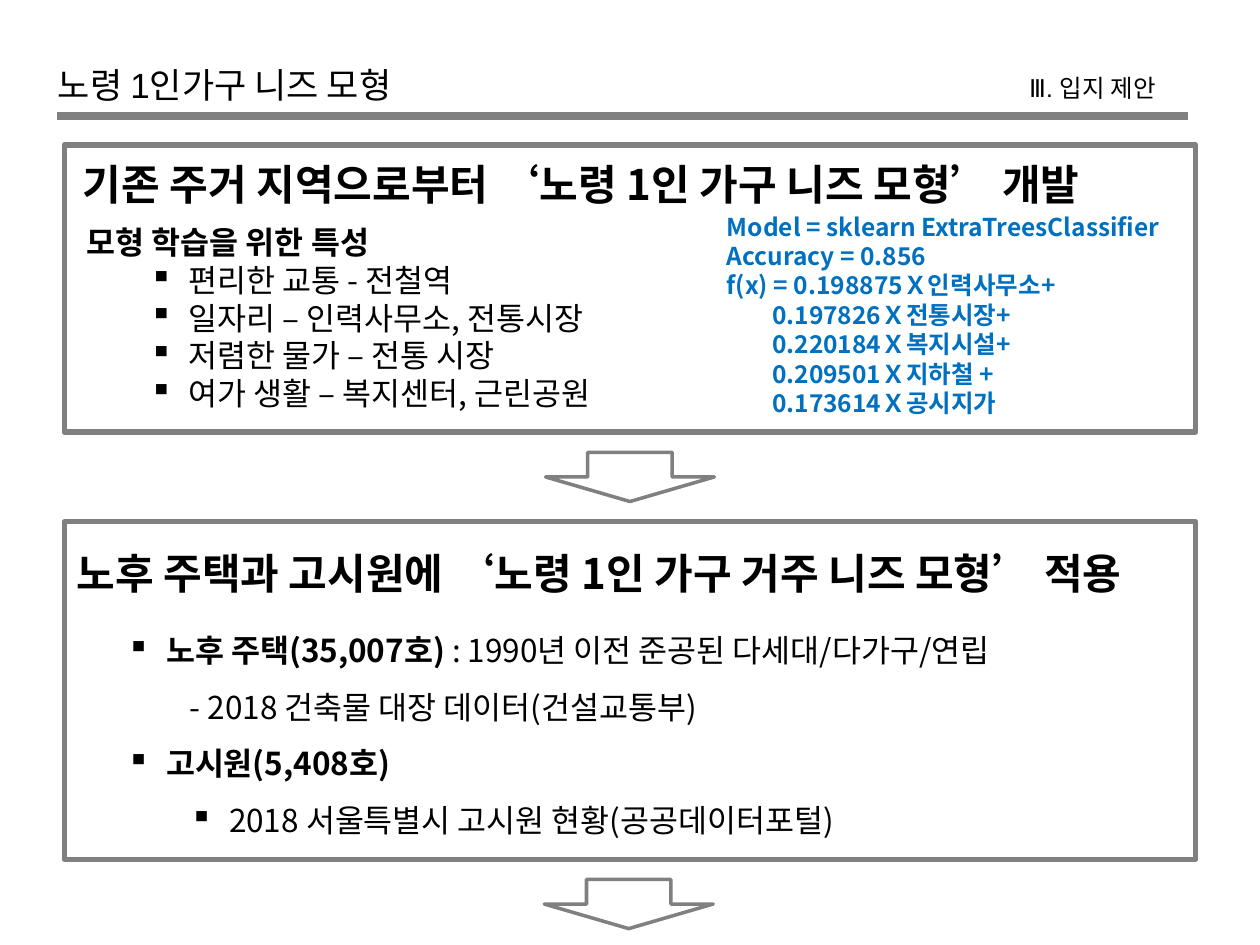
"""Builds the slide on the needs model for elderly one-person households."""
from dataclasses import dataclass

from lxml import etree
from pptx import Presentation
from pptx import util as u
from pptx.dml.color import RGBColor
from pptx.enum import shapes, text
from pptx.oxml.ns import qn

COLORS = {"ink": "000000", "rule": "808080", "paper": "FFFFFF", "formula": "0070C0"}
BODY_FONT = "Noto Sans CJK KR"
LABEL_FONT = "Arial"
CELL = u.Inches(0.1)
BULLET_HANG = 3.1


@dataclass(frozen=True)
class Area:
    """A place on the grid of 100 columns by 75 rows."""
    col: float
    row: float
    cols: float
    rows: float

    def emu(self) -> list[int]:
        return [round(n * CELL) for n in (self.col, self.row, self.cols, self.rows)]


@dataclass(frozen=True)
class Style:
    """The look shared by all the text of one block."""
    size: float
    font: str = BODY_FONT
    color: str = "ink"
    spacing: float = 1.0
    wrap: bool = False


@dataclass(frozen=True)
class Line:
    """One paragraph: a bold part, then a plain part, indented in columns."""
    bold: str = ""
    plain: str = ""
    indent: float = 0
    bullet: bool = False
    level: int = 0


def rgb(name: str) -> RGBColor:
    return RGBColor.from_string(COLORS[name])


def write_line(paragraph, line: Line, style: Style) -> None:
    paragraph.level = line.level
    props = paragraph._p.get_or_add_pPr()
    props.set("marL", str(round(line.indent * CELL)))
    props.set("indent", str(round(-BULLET_HANG * CELL) if line.bullet else 0))
    if line.bullet:
        etree.SubElement(props, qn("a:buChar"), char="▪")
    paragraph.alignment = text.PP_ALIGN.LEFT
    paragraph.line_spacing = style.spacing
    for part, bold in ((line.bold, True), (line.plain, False)):
        if part:
            run = paragraph.add_run()
            run.text = part
            run.font.size = u.Pt(style.size)
            run.font.name = style.font
            run.font.bold = bold
            run.font.color.rgb = rgb(style.color)
            latin = run.font._element.find(qn("a:latin"))
            latin.addnext(latin.makeelement(qn("a:ea"), {"typeface": BODY_FONT}))


def fill_block(block, area: Area, lines: list[Line], style: Style) -> None:
    block.left, block.top, block.width, block.height = area.emu()
    frame = block.text_frame
    frame.word_wrap = style.wrap
    frame.auto_size = text.MSO_AUTO_SIZE.SHAPE_TO_FIT_TEXT
    frame.vertical_anchor = text.MSO_ANCHOR.TOP
    for i, line in enumerate(lines):
        write_line(frame.add_paragraph() if i else frame.paragraphs[0], line, style)


def add_block(slide, area: Area, lines: list[Line], style: Style) -> None:
    fill_block(slide.shapes.add_textbox(*area.emu()), area, lines, style)


def add_outline(slide, kind, area: Area, weight: float, fill: str = "") -> None:
    outline = slide.shapes.add_shape(kind, *area.emu())
    outline.shadow.inherit = False
    outline.line.color.rgb = rgb("rule")
    outline.line.width = u.Pt(weight)
    if fill:
        outline.fill.solid()
        outline.fill.fore_color.rgb = rgb(fill)
    else:
        outline.fill.background()


def add_rule(slide, start: float, end: float, row: float) -> None:
    ends = [round(n * CELL) for n in (start, row, end, row)]
    rule = slide.shapes.add_connector(shapes.MSO_CONNECTOR.STRAIGHT, *ends)
    rule.line.color.rgb = rgb("rule")
    rule.line.width = u.Pt(4.5)
    etree.SubElement(rule._element.spPr, qn("a:effectLst"))


def main() -> None:
    deck = Presentation()
    deck.slide_width, deck.slide_height = 100 * CELL, 75 * CELL
    slide = deck.slides.add_slide(deck.slide_layouts[5])

    heading, body = Style(24), Style(18)
    listing = Style(18, spacing=1.5)
    formula = Style(14, color="formula", wrap=True)

    fill_block(slide.shapes.title, Area(3.6, 4.5, 31.8, 4.4),
               [Line(plain="노령 1인가구 니즈 모형")], Style(20, LABEL_FONT))
    add_block(slide, Area(80.7, 5.3, 13.5, 3.4),
              [Line(plain="Ⅲ. 입지 제안")], Style(14, LABEL_FONT))
    add_rule(slide, 4.5, 94.3, 9.2)

    for top, rows in ((11.5, 22.8), (41.4, 26.8)):
        add_outline(slide, shapes.MSO_SHAPE.RECTANGLE, Area(5.1, top, 89.8, rows), 3)
    for left, top in ((43.3, 35.9), (43.2, 69.8)):
        add_outline(slide, shapes.MSO_SHAPE.DOWN_ARROW, Area(left, top, 13.4, 3.9), 2, "paper")

    add_block(slide, Area(5.6, 12.1, 87.5, 5),
              [Line("기존 주거 지역으로부터 ‘노령 1인 가구 니즈 모형’ 개발")], heading)
    features = ["편리한 교통 - 전철역", "일자리 – 인력사무소, 전통시장",
                "저렴한 물가 – 전통 시장", "여가 생활 – 복지센터, 근린공원"]
    add_block(slide, Area(5.9, 17.2, 46, 19.2),
              [Line("모형 학습을 위한 특성")]
              + [Line(plain=feature, indent=8.1, bullet=True, level=1) for feature in features],
              body)
    terms = ["0.197826Ｘ전통시장+", "0.220184Ｘ복지시설+", "0.209501Ｘ지하철 +", "0.173614Ｘ공시지가"]
    add_block(slide, Area(56.7, 16.3, 37, 17.5),
              [Line("Model = sklearn ExtraTreesClassifier"), Line("Accuracy = 0.856"),
               Line("f(x) = 0.198875Ｘ인력사무소+")]
              + [Line(term, indent=3.6) for term in terms], formula)

    add_block(slide, Area(5.1, 43, 90.6, 5),
              [Line("노후 주택과 고시원에 ‘노령 1인 가구 거주 니즈 모형’ 적용")], heading)
    add_block(slide, Area(9.1, 48.1, 76.4, 18.6), [
        Line("노후 주택(35,007호) ", ": 1990년 이전 준공된 다세대/다가구/연립", 3.1, True),
        Line(plain="- 2018 건축물 대장 데이터(건설교통부)", indent=5, level=1),
        Line("고시원(5,408호)", indent=3.1, bullet=True),
        Line(plain="2018 서울특별시 고시원 현황(공공데이터포털)", indent=8.1, bullet=True, level=1),
    ], listing)

    deck.save("out.pptx")


if __name__ == "__main__":
    main()
